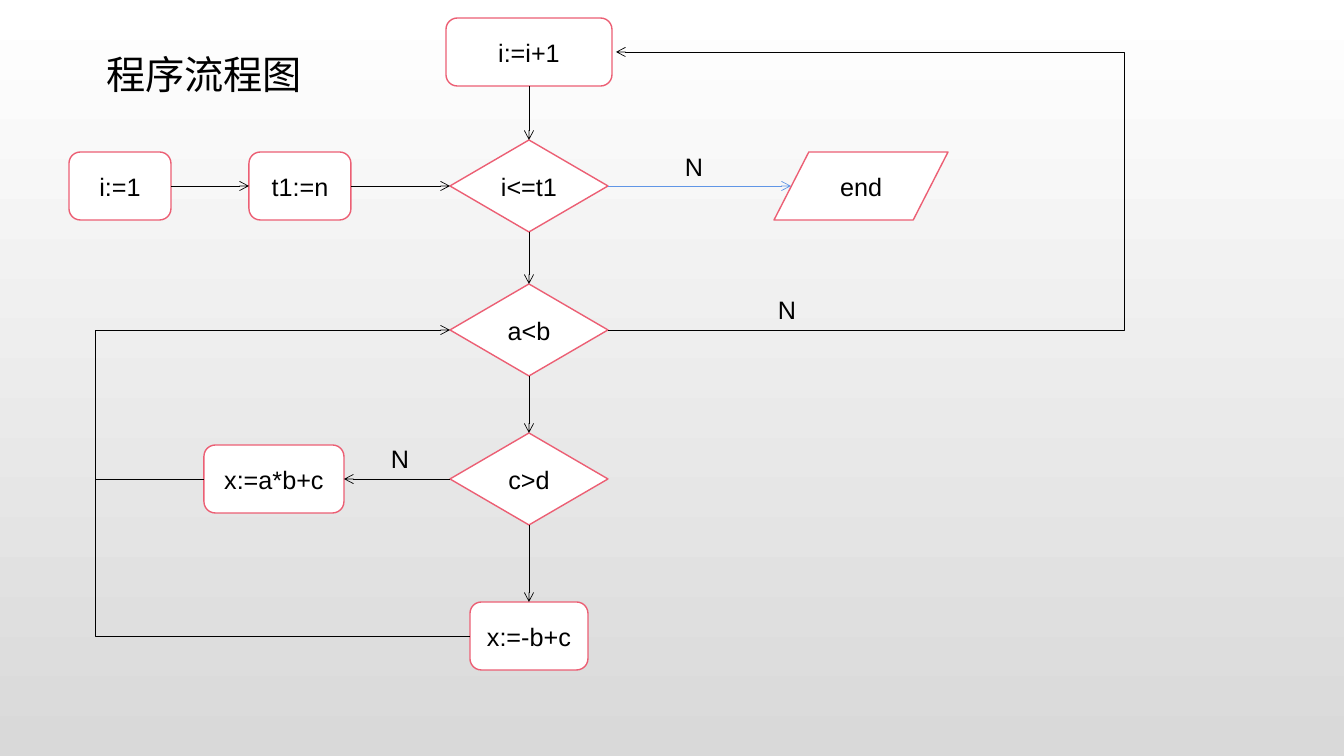
import pptx
import pptx.util
import pptx.dml.color
import pptx.enum.shapes
import pptx.enum.text
import pptx.oxml.ns
from lxml import etree

RGBColor = pptx.dml.color.RGBColor
SHAPE = pptx.enum.shapes.MSO_SHAPE
CONNECTOR = pptx.enum.shapes.MSO_CONNECTOR
PP_ALIGN = pptx.enum.text.PP_ALIGN
ANCHOR = pptx.enum.text.MSO_ANCHOR

BLACK = RGBColor(0x00, 0x00, 0x00)
WHITE = RGBColor(0xFF, 0xFF, 0xFF)
GREY = RGBColor(0xD9, 0xD9, 0xD9)
PINK = RGBColor(0xEC, 0x5F, 0x74)
BLUE = RGBColor(0x60, 0x96, 0xE6)

FONT = "Arial"
PX_PER_INCH = 100.8
TOP, LEFT, BOTTOM, RIGHT = range(4)

TITLE = ("程序流程图", (96, 45, 219, 57))

PROCESS = SHAPE.FLOWCHART_ALTERNATE_PROCESS
DECISION = SHAPE.FLOWCHART_DECISION
DATA = SHAPE.FLOWCHART_DATA

# text: kind, centre x, centre y, width, height
NODES = {
    "i:=1": (PROCESS, 120, 186, 102, 68),
    "t1:=n": (PROCESS, 300, 186, 102, 68),
    "i<=t1": (DECISION, 529, 186, 158, 92),
    "a<b": (DECISION, 529, 330, 158, 92),
    "c>d": (DECISION, 529, 479, 158, 92),
    "x:=-b+c": (PROCESS, 529, 636, 118, 68),
    "x:=a*b+c": (PROCESS, 274, 479, 140, 68),
    "i:=i+1": (PROCESS, 529, 52, 166, 68),
    "end": (DATA, 861, 186, 174, 68),
}

# start node, its side, end (node and side, or a point), colour, arrowhead
STRAIGHT_LINKS = [
    ("i:=1", RIGHT, ("t1:=n", LEFT), BLACK, True),
    ("t1:=n", RIGHT, ("i<=t1", LEFT), BLACK, True),
    ("i:=i+1", BOTTOM, ("i<=t1", TOP), BLACK, True),
    ("i<=t1", BOTTOM, ("a<b", TOP), BLACK, True),
    ("a<b", BOTTOM, ("c>d", TOP), BLACK, True),
    ("c>d", BOTTOM, ("x:=-b+c", TOP), BLACK, True),
    ("c>d", LEFT, ("x:=a*b+c", RIGHT), BLACK, True),
    ("x:=a*b+c", LEFT, (95, 479), BLACK, False),
    ("i<=t1", RIGHT, (791, 186), BLUE, True),
]

# start node, its side, end, x of the upright part
LOOPS = [
    ("a<b", RIGHT, (616, 52), 1123),
    ("x:=-b+c", LEFT, ("a<b", LEFT), 95),
]

LABELS = [("N", 381, 438), ("N", 768, 289), ("N", 675, 146)]
LABEL_SIZE = (38, 40)


def emu(px):
    return round(px * pptx.util.Inches(1) / PX_PER_INCH)


def write(tf, text, size, align):
    p = tf.paragraphs[0]
    p.alignment = align
    r = p.add_run()
    r.text = text
    r.font.size = pptx.util.Pt(size)
    r.font.name = FONT
    r.font.color.rgb = BLACK


def add_node(slide, text, kind, cx, cy, w, h):
    sp = slide.shapes.add_shape(
        kind, emu(cx - w / 2), emu(cy - h / 2), emu(w), emu(h))
    sp.shadow.inherit = False
    sp.fill.solid()
    sp.fill.fore_color.rgb = WHITE
    sp.line.color.rgb = PINK
    sp.line.width = pptx.util.Pt(1)
    sp.text_frame.word_wrap = False
    sp.text_frame.vertical_anchor = ANCHOR.MIDDLE
    write(sp.text_frame, text, 18, PP_ALIGN.CENTER)
    return sp


def add_link(slide, nodes, kind, start, side, end, color, arrow):
    """Join a node's side to another node's side or to a point."""
    joined = end[0] in nodes
    end_point = (0, 0) if joined else end
    cxn = slide.shapes.add_connector(kind, 0, 0, *map(emu, end_point))
    cxn.begin_connect(nodes[start], side)
    if joined:
        cxn.end_connect(nodes[end[0]], end[1])
    cxn.line.color.rgb = color
    cxn.line.width = pptx.util.Pt(0.5)
    qn = pptx.oxml.ns.qn
    if arrow:
        etree.SubElement(cxn.line._get_or_add_ln(), qn("a:tailEnd"), type="arrow")
    etree.SubElement(cxn._element.spPr, qn("a:effectLst"))
    return cxn


def bend_at(cxn, x):
    """Put the upright part of an elbow connector at x."""
    qn = pptx.oxml.ns.qn
    share = (emu(x) - cxn.begin_x) / (cxn.end_x - cxn.begin_x)
    guides = cxn._element.spPr.find(qn("a:prstGeom")).find(qn("a:avLst"))
    etree.SubElement(guides, qn("a:gd"), name="adj1",
                     fmla=f"val {round(share * 100000)}")
    xfrm = cxn._element.spPr.find(qn("a:xfrm"))
    if xfrm.get("flipH") == "1" and xfrm.get("flipV") == "1":
        # both flips together are a half turn
        del xfrm.attrib["flipH"], xfrm.attrib["flipV"]
        xfrm.set("rot", "10800000")


def main():
    prs = pptx.Presentation()
    prs.slide_width, prs.slide_height = emu(1344), emu(756)
    slide = prs.slides.add_slide(prs.slide_layouts[5])

    fill = slide.background.fill
    fill.gradient()
    fill.gradient_angle = 270
    for stop, color, position in zip(fill.gradient_stops, (WHITE, GREY), (0, 1)):
        stop.color.rgb = color
        stop.position = position

    text, box = TITLE
    title = slide.shapes.title
    title.left, title.top, title.width, title.height = map(emu, box)
    title.text_frame.auto_size = pptx.enum.text.MSO_AUTO_SIZE.NONE
    title.text_frame.vertical_anchor = ANCHOR.TOP
    write(title.text_frame, text, 28, PP_ALIGN.LEFT)

    nodes = {name: add_node(slide, name, *node) for name, node in NODES.items()}
    for start, side, end, color, arrow in STRAIGHT_LINKS:
        add_link(slide, nodes, CONNECTOR.STRAIGHT, start, side, end, color, arrow)
    for start, side, end, x in LOOPS:
        cxn = add_link(slide, nodes, CONNECTOR.ELBOW, start, side, end, BLACK, True)
        bend_at(cxn, x)

    for text, x, y in LABELS:
        sp = slide.shapes.add_textbox(emu(x), emu(y), *map(emu, LABEL_SIZE))
        sp.text_frame.word_wrap = False
        write(sp.text_frame, text, 18, PP_ALIGN.LEFT)

    prs.save("out.pptx")


if __name__ == "__main__":
    main()
